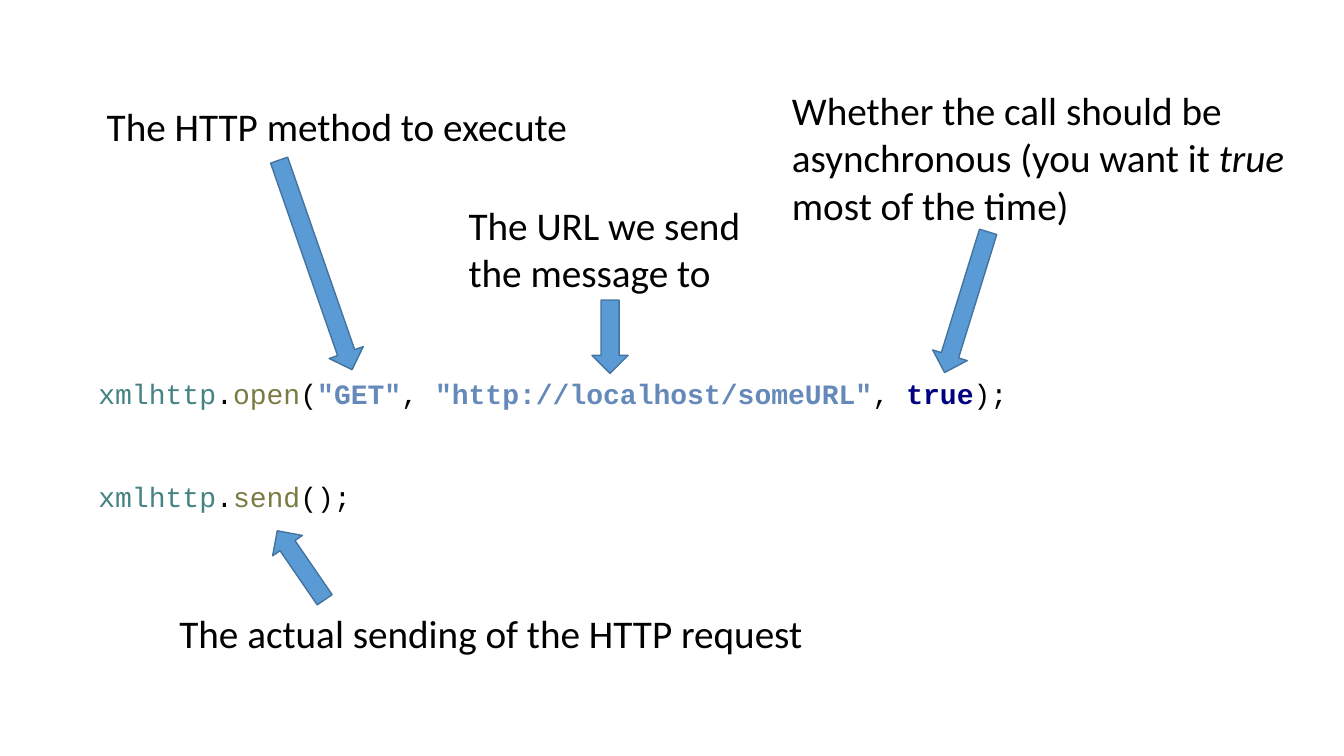
from pptx import Presentation
from pptx.dml.color import RGBColor as Rgb
from pptx.enum.shapes import MSO_SHAPE as Shape
from pptx.enum.text import MSO_ANCHOR as Anchor
from pptx.util import Cm, Pt

HUES = {"white": "FFFFFF", "black": "000000", "blue": "5B9BD5", "edge": "43739E",
        "name": "458383", "call": "7A7A43", "text": "658ABA", "key": "000080"}
CODE = [
    [("xmlhttp", "name"), (".", "black"), ("open", "call"), ("(", "black"),
     ('"GET"', "text"), (", ", "black"), ('"http://localhost/someURL"', "text"),
     (", ", "black"), ("true", "key"), (");", "black")],
    [("xmlhttp", "name"), (".", "black"), ("send", "call"), ("();", "black")],
]
BOLD = {"text", "key"}
THICK = 0.91
NOTES = [
    ((2.44, 2.46, 13.18, 1.44), [("The HTTP method to execute", False)],
     (2.72, 3.76, 5.59, 250.8)),
    ((11.56, 4.95, 7.67, 2.64), [("The URL we send the message to", False)],
     (2.89, 3.08, 1.85, 270)),
    ((19.71, 2.06, 13.18, 3.84),
     [("Whether the call should be asynchronous (you want it ", False),
      ("true", True), (" most of the time)", False)],
     (2.79, 5.1, 3.71, 287.2)),
    ((4.27, 15.24, 17.17, 1.44), [("The actual sending of the HTTP request", False)],
     (2.26, -1.45, 2.11, 55.5)),
]


def hue(key):
    """Return the named colour."""
    return Rgb.from_string(HUES[key])


def add_run(para, text, face, size, key):
    """Append a styled run and return its font."""
    run = para.add_run()
    run.text = text
    font = run.font
    font.name, font.size = face, Pt(size)
    font.color.rgb = hue(key)
    return font


def add_box(slide, box):
    """Add a wrapping text box."""
    area = slide.shapes.add_textbox(*map(Cm, box))
    area.text_frame.word_wrap = True
    return area


def add_code(slide, box):
    """Place the two calls in a white panel."""
    panel = add_box(slide, box)
    panel.fill.solid()
    panel.fill.fore_color.rgb = hue("white")
    frame = panel.text_frame
    frame.vertical_anchor = Anchor.MIDDLE
    frame.margin_left = Cm(1.95)
    for row, parts in enumerate(CODE):
        para = frame.add_paragraph() if row else frame.paragraphs[0]
        if row:
            para.space_before = Pt(49)
        for text, key in parts:
            add_run(para, text, "Courier New", 20, key).bold = key in BOLD


def add_note(slide, box, parts, arrow):
    """Place a remark and the arrow set off from its corner."""
    para = add_box(slide, box).text_frame.paragraphs[0]
    for text, slant in parts:
        add_run(para, text, "Calibri", 28, "black").italic = slant
    left, top = box[:2]
    right, down, size, turn = arrow
    mark = slide.shapes.add_shape(
        Shape.LEFT_ARROW, Cm(left + right), Cm(top + down), Cm(size), Cm(THICK))
    mark.rotation = turn
    mark.shadow.inherit = False
    mark.fill.solid()
    mark.fill.fore_color.rgb = hue("blue")
    mark.line.color.rgb = hue("edge")
    mark.line.width = Pt(1)


def main():
    """Build and save the slide."""
    deck = Presentation()
    deck.slide_width, deck.slide_height = Cm(33.87), Cm(19.05)
    slide = deck.slides.add_slide(deck.slide_layouts[6])
    add_code(slide, (0.53, 9.37, 25.76, 3.68))
    for box, parts, arrow in NOTES:
        add_note(slide, box, parts, arrow)
    deck.save("out.pptx")


if __name__ == "__main__":
    main()
